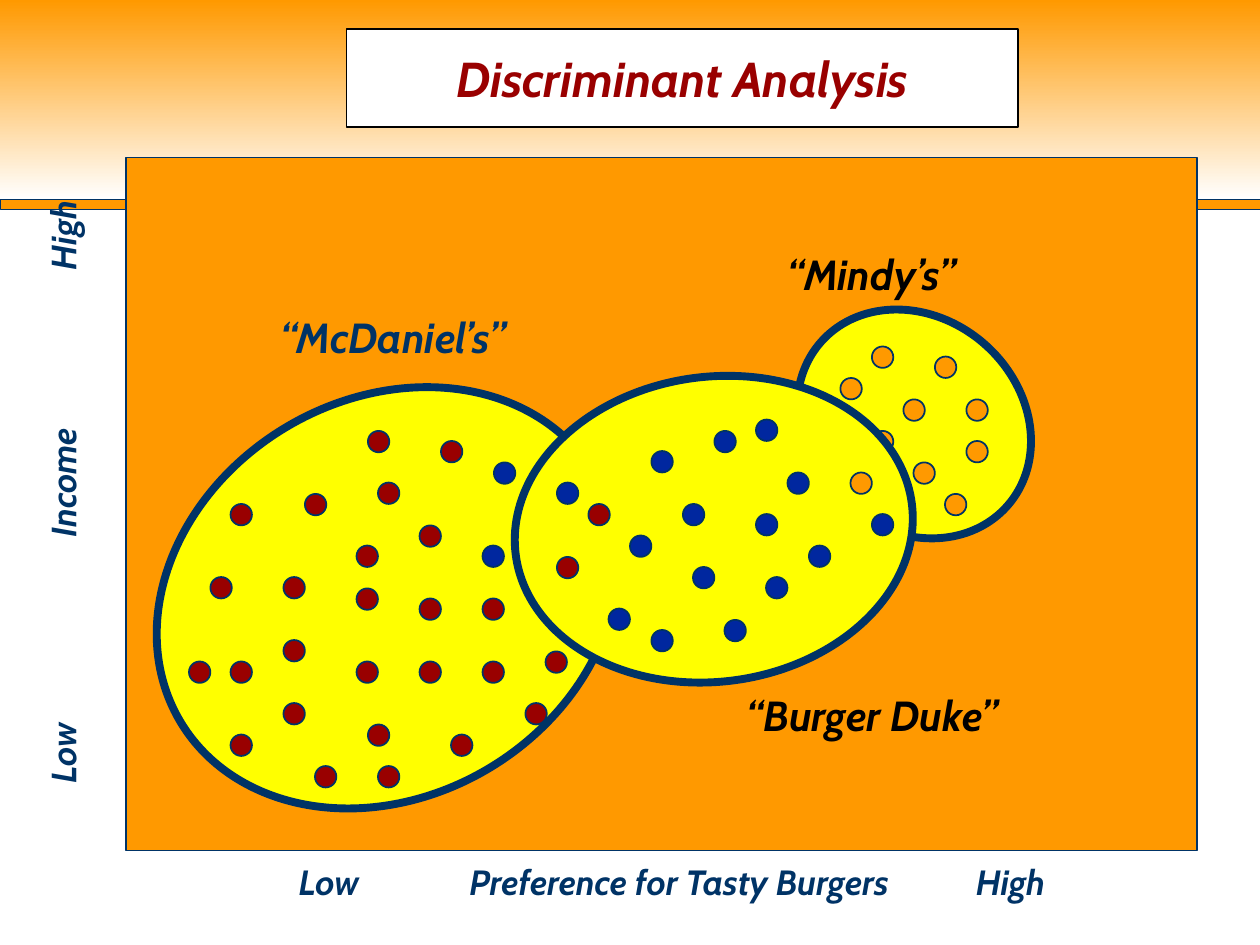
from lxml import etree
from pptx import Presentation
from pptx.dml.color import RGBColor
from pptx.enum.shapes import MSO_SHAPE
from pptx.enum.text import MSO_ANCHOR, PP_ALIGN
from pptx.oxml.ns import qn
from pptx.util import Inches, Pt

RECT, OVAL, DOT = MSO_SHAPE.RECTANGLE, MSO_SHAPE.OVAL, MSO_SHAPE.FLOWCHART_CONNECTOR
TOP, MIDDLE = MSO_ANCHOR.TOP, MSO_ANCHOR.MIDDLE
LEFT, CENTER = PP_ALIGN.LEFT, PP_ALIGN.CENTER

ORANGE = RGBColor(0xFF, 0x99, 0x00)
YELLOW = RGBColor(0xFF, 0xFF, 0x00)
WHITE = RGBColor(0xFF, 0xFF, 0xFF)
BLACK = RGBColor(0x00, 0x00, 0x00)
INK = RGBColor(0x01, 0x00, 0x00)
NAVY = RGBColor(0x00, 0x33, 0x66)
RED = RGBColor(0x99, 0x00, 0x00)
BLUE = RGBColor(0x00, 0x27, 0x9F)

DOT_SIZE = 0.17

# Each segment: ellipse box, rotation, and customers as (left, top) by colour
SEGMENTS = [
    ((1.16, 3.17, 3.83, 3.15), 329, {
        RED: [(2.92, 3.42), (3.5, 3.5), (3, 3.83), (2.42, 3.92), (1.83, 4),
              (3.33, 4.17), (2.83, 4.33), (1.67, 4.58), (2.25, 4.58),
              (2.83, 4.67), (3.33, 4.75), (3.83, 4.75), (2.25, 5.08),
              (4.33, 5.17), (1.5, 5.25), (1.83, 5.25), (2.83, 5.25),
              (3.33, 5.25), (3.83, 5.25), (2.25, 5.58), (4.17, 5.58),
              (2.92, 5.75), (1.83, 5.83), (3.58, 5.83), (2.5, 6.08), (3, 6.08)],
    }),
    ((6.27, 2.52, 1.97, 1.69), 41, {
        ORANGE: [(6.92, 2.75), (7.42, 2.83), (6.67, 3), (7.17, 3.17), (7.67, 3.17),
                 (6.92, 3.42), (7.67, 3.5), (7.25, 3.67), (7.5, 3.92)],
    }),
    ((4.08, 2.99, 3.17, 2.42), 352.6, {
        BLUE: [(6, 3.33), (5.67, 3.42), (5.17, 3.58), (3.92, 3.67), (6.25, 3.75),
               (4.42, 3.83), (5.42, 4), (6, 4.08), (6.92, 4.08), (5, 4.25),
               (3.83, 4.33), (6.42, 4.33), (5.5, 4.5), (6.08, 4.58),
               (4.83, 4.83), (5.75, 4.92), (5.17, 5)],
        RED: [(4.67, 4), (4.42, 4.42)],
        ORANGE: [(6.75, 3.75)],
    }),
]

CAPTIONS = [
    ("“McDaniel’s”", (1.33, 2.42, 3.58, 0.5), NAVY),
    ("“Mindy’s”", (5.17, 1.92, 3.5, 0.5), INK),
    ("“Burger Duke”", (5.17, 5.42, 3.5, 0.5), INK),
]


def add_figure(slide, kind, box, fill, line=None, width=1, rotation=0):
    figure = slide.shapes.add_shape(kind, *map(Inches, box))
    figure.shadow.inherit = False
    figure.rotation = rotation
    if fill is not None:
        figure.fill.solid()
        figure.fill.fore_color.rgb = fill
    if line is None:
        figure.line.fill.background()
    else:
        figure.line.color.rgb = line
        figure.line.width = Pt(width)
    return figure


def write(holder, text, size, color, align=CENTER, anchor=TOP, tabs=()):
    frame = holder.text_frame
    frame.word_wrap = True
    frame.vertical_anchor = anchor
    paragraph = frame.paragraphs[0]
    paragraph.text = text
    paragraph.alignment = align
    if tabs:
        stops = etree.SubElement(paragraph._p.get_or_add_pPr(), qn("a:tabLst"))
        for position in tabs:
            etree.SubElement(stops, qn("a:tab"), pos=str(Inches(position)), algn="ctr")
    font = paragraph.runs[0].font
    style = {"name": "Cabin", "size": Pt(size), "bold": True, "italic": True}
    for key, value in style.items():
        setattr(font, key, value)
    font.color.rgb = color


def add_backdrop(slide, box):
    left, top, width, height = box
    # Rule under the header band
    add_figure(slide, RECT, (left, top + height, width, 0.08), ORANGE, NAVY, 0.25)
    # Band fading from orange at the top to white
    band = add_figure(slide, RECT, box, None)
    band.fill.gradient()
    band.fill.gradient_angle = 270
    for stop, color in zip(band.fill.gradient_stops, (ORANGE, WHITE)):
        stop.color.rgb = color


def add_title(slide, box):
    title = add_figure(slide, RECT, box, WHITE, BLACK)
    write(title, "Discriminant Analysis", 28, RED, anchor=MIDDLE)


def add_segment(slide, box, rotation, customers):
    add_figure(slide, OVAL, box, YELLOW, NAVY, 4.5, rotation)
    for color, places in customers.items():
        for place in places:
            add_figure(slide, DOT, (*place, DOT_SIZE, DOT_SIZE), color, NAVY)


def add_map(slide, box):
    add_figure(slide, RECT, box, ORANGE, NAVY, 0.75)
    for segment in SEGMENTS:
        add_segment(slide, *segment)
    for text, place, color in CAPTIONS:
        write(slide.shapes.add_textbox(*map(Inches, place)), text, 24, color)


def add_axis(slide, box, labels, centers, upward=False):
    """Labels centred on tab stops, measured from the start of the axis."""
    axis = slide.shapes.add_textbox(*map(Inches, box))
    for side in ("left", "top", "right", "bottom"):
        setattr(axis.text_frame, f"margin_{side}", 0)
    text = "".join(f"\t{label}" for label in labels)
    write(axis, text, 20, NAVY, LEFT, MIDDLE, centers)
    if upward:
        axis.text_frame._txBody.bodyPr.set("vert", "vert270")


def main():
    deck = Presentation()
    deck.slide_width, deck.slide_height = Inches(10), Inches(7.5)
    slide = deck.slides.add_slide(deck.slide_layouts[6])
    add_backdrop(slide, (0, 0, 10, 1.58))
    add_title(slide, (2.75, 0.23, 5.33, 0.78))
    add_map(slide, (1, 1.25, 8.5, 5.5))
    add_axis(slide, (1.08, 6.83, 8.5, 0.33),
             ("Low", "Preference for Tasty Burgers", "High"), (1.53, 4.31, 6.94))
    add_axis(slide, (0.33, 1.25, 0.33, 5.33),
             ("Low", "Income", "High"), (0.6, 2.75, 4.71), upward=True)
    deck.save("out.pptx")


if __name__ == "__main__":
    main()
